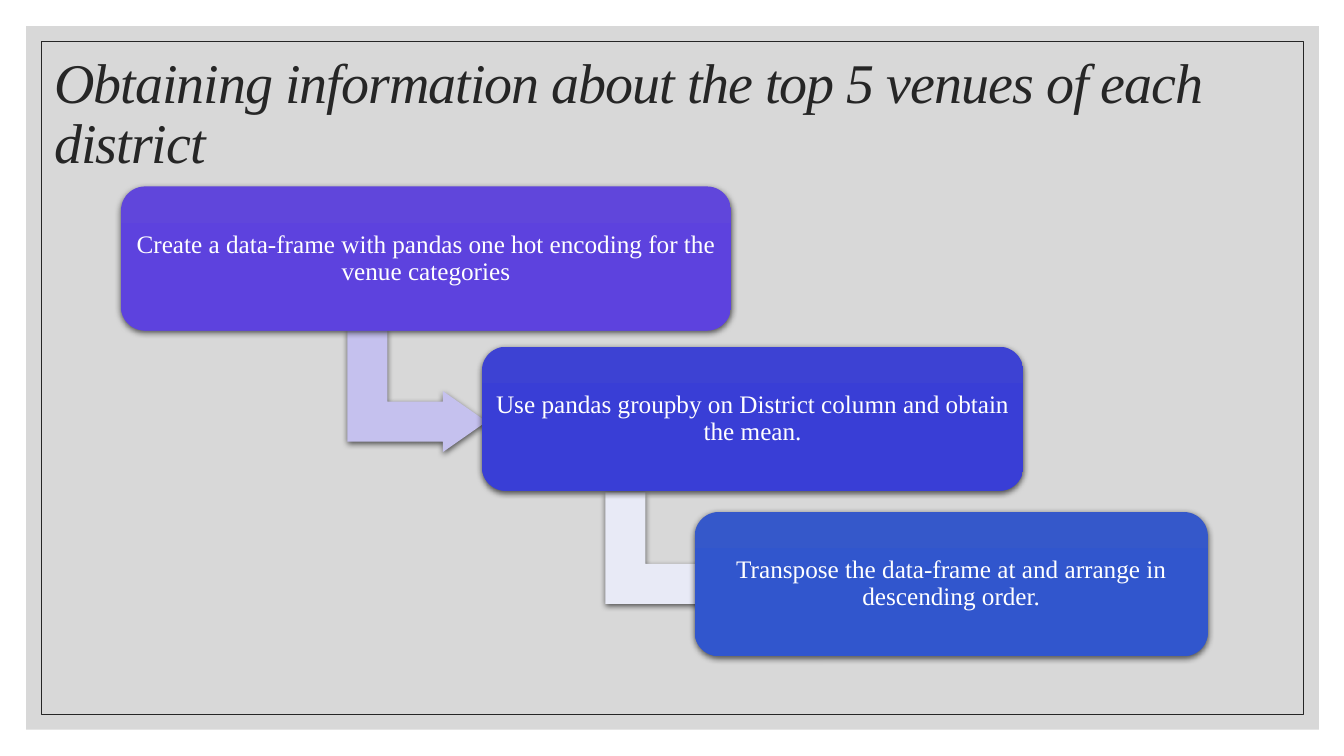
from dataclasses import dataclass
from typing import Any

from lxml import etree
from pptx import Presentation
from pptx.dml.color import RGBColor
from pptx.enum.shapes import MSO_SHAPE
from pptx.enum.text import MSO_ANCHOR, PP_ALIGN
from pptx.oxml.ns import qn
from pptx.util import Inches, Pt

RECT = MSO_SHAPE.RECTANGLE
ROUND = MSO_SHAPE.ROUNDED_RECTANGLE
BENT = MSO_SHAPE.BENT_UP_ARROW
MIDDLE = MSO_ANCHOR.MIDDLE
CENTER = PP_ALIGN.CENTER
LEFT = PP_ALIGN.LEFT

COLORS = {
    "panel": "BFBFBF", "ink": "262626", "white": "FFFFFF", "black": "000000",
    "violet": "6046DB", "violet end": "5D42DE",
    "indigo": "3D42D3", "indigo end": "393ED6",
    "blue": "3558CA", "blue end": "3156CD",
    "lilac": "C5C1EE", "mist": "E8EAF6",
}
TITLE = "Obtaining information about the top 5 venues of each district"


@dataclass
class Step:
    left: float
    top: float
    width: float
    color: str
    text: str


@dataclass
class Arrow:
    left: float
    top: float
    color: str


STEPS = [
    Step(1.2, 1.85, 6.05, "violet",
         "Create a data-frame with pandas one hot encoding for the venue categories"),
    Step(4.78, 3.44, 5.37, "indigo",
         "Use pandas groupby on District column and obtain the mean."),
    Step(6.89, 5.08, 5.09, "blue",
         "Transpose the data-frame at and arrange in descending order."),
]
ARROWS = [Arrow(3.53, 3.19, "lilac"), Arrow(6.09, 4.8, "mist")]


def tint(name: str) -> RGBColor:
    return RGBColor.from_string(COLORS[name])


def put(item: Any, style: dict[str, Any]) -> None:
    for name, value in style.items():
        setattr(item, name, value)


def add_form(slide: Any, kind: Any, left: float, top: float, width: float, height: float) -> Any:
    form = slide.shapes.add_shape(kind, Inches(left), Inches(top), Inches(width), Inches(height))
    form.shadow.inherit = False
    form.line.fill.background()
    return form


def add_shade(form: Any) -> None:
    effects = form._element.spPr.find(qn("a:effectLst"))
    shade = etree.SubElement(effects, qn("a:outerShdw"), blurRad=str(Pt(4.5)),
                             dist=str(Pt(1.5)), dir="5400000", rotWithShape="0")
    color = etree.SubElement(shade, qn("a:srgbClr"), val=COLORS["black"])
    etree.SubElement(color, qn("a:alpha"), val="63000")


def write(form: Any, text: str, frame: dict[str, Any], para: dict[str, Any],
          font: dict[str, Any], color: str) -> Any:
    body = form.text_frame
    put(body, {"word_wrap": True, "vertical_anchor": MIDDLE} | frame)
    line = body.paragraphs[0]
    put(line, {"line_spacing": 0.9} | para)
    run = line.add_run()
    run.text = text
    put(run.font, {"name": "Times New Roman"} | font)
    run.font.color.rgb = tint(color)
    return run


def add_panel(slide: Any) -> None:
    panel = add_form(slide, RECT, 0.26, 0.26, 12.82, 6.98)
    panel.fill.solid()
    panel.fill.fore_color.rgb = tint("panel")
    color = panel._element.spPr.find(f".//{qn('a:srgbClr')}")
    etree.SubElement(color, qn("a:alpha"), val="60000")
    border = add_form(slide, RECT, 0.41, 0.41, 12.52, 6.68)
    border.fill.background()
    border.line.color.rgb = tint("ink")
    border.line.width = Pt(0.5)


def add_title(slide: Any) -> None:
    box = slide.shapes.add_textbox(Inches(0.44), Inches(0.7), Inches(12.5), Inches(1.5))
    run = write(box, TITLE, {"margin_bottom": Inches(0.66)}, {"alignment": LEFT},
                {"size": Pt(40), "italic": True}, "ink")
    run.font._element.set("spc", "-70")


def add_arrow(slide: Any, arrow: Arrow) -> None:
    form = add_form(slide, BENT, arrow.left, arrow.top, 1.21, 1.38)
    form.rotation = 90
    for spot, value in enumerate((0.328, 0.25, 0.358)):
        form.adjustments[spot] = value
    form.fill.solid()
    form.fill.fore_color.rgb = tint(arrow.color)
    add_shade(form)


def add_step(slide: Any, step: Step) -> None:
    form = add_form(slide, ROUND, step.left, step.top, step.width, 1.43)
    form.fill.gradient()
    form.fill.gradient_angle = 270
    shades = (step.color, 0), (f"{step.color} end", 0.5)
    for stop, (color, place) in zip(form.fill.gradient_stops, shades):
        stop.color.rgb = tint(color)
        stop.position = place
    add_shade(form)
    sides = ("left", "top", "right", "bottom")
    write(form, step.text, {f"margin_{side}": Inches(0.07) for side in sides},
          {"alignment": CENTER}, {"size": Pt(18)}, "white")


def main() -> None:
    deck = Presentation()
    put(deck, {"slide_width": Inches(13.33), "slide_height": Inches(7.5)})
    slide = deck.slides.add_slide(deck.slide_layouts[6])
    add_panel(slide)
    add_title(slide)
    for spot, step in enumerate(STEPS):
        if spot < len(ARROWS):
            add_arrow(slide, ARROWS[spot])
        add_step(slide, step)
    deck.save("out.pptx")


if __name__ == "__main__":
    main()
